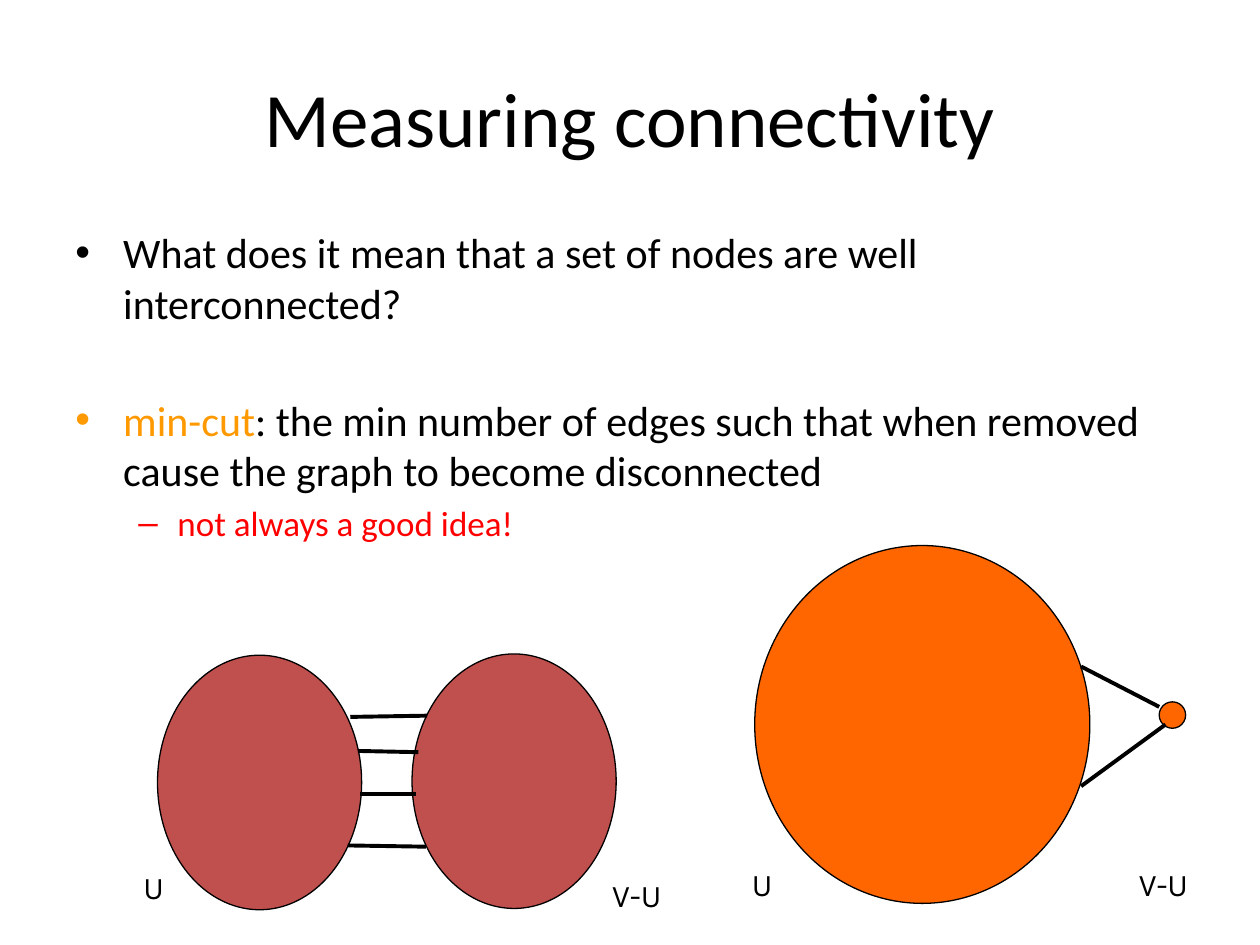
from lxml.etree import SubElement
from pptx import Presentation
from pptx.dml.color import RGBColor
from pptx.enum.shapes import MSO_CONNECTOR, MSO_SHAPE
from pptx.enum.text import MSO_ANCHOR, PP_ALIGN
from pptx.oxml.ns import qn
from pptx.util import Inches, Pt

BLACK = RGBColor(0x00, 0x00, 0x00)
AMBER = RGBColor(0xFF, 0x99, 0x00)
RED = RGBColor(0xFF, 0x00, 0x00)
BRICK = RGBColor(0xC0, 0x50, 0x4D)
ORANGE = RGBColor(0xFF, 0x66, 0x00)

WIDTH, HEIGHT = 10, 7.5
MARGIN = 0.05 * WIDTH


def add_box(page, left, top, width, height, wrap=True, anchor=MSO_ANCHOR.TOP):
    """Add an empty text box and return its text frame."""
    box = page.shapes.add_textbox(
        Inches(left), Inches(top), Inches(width), Inches(height))
    frame = box.text_frame
    frame.word_wrap = wrap
    frame.vertical_anchor = anchor
    return frame


def add_text(para, text, size=24, font="Calibri", color=BLACK):
    """Append one formatted span to a paragraph."""
    span = para.add_run()
    span.text = text
    span.font.size = Pt(size)
    span.font.name = font
    span.font.color.rgb = color


def set_bullet(para, mark, indent, hanging, before=0, level=0):
    """Give a paragraph a hanging bullet and the space above it."""
    para.level = level
    para.space_before = Pt(before)
    properties = para._p.get_or_add_pPr()
    properties.set("marL", str(Inches(indent)))
    properties.set("indent", str(-Inches(hanging)))
    SubElement(properties, qn("a:buFont"), typeface="Arial")
    SubElement(properties, qn("a:buChar"), char=mark)


def add_node_set(page, left, top, width, height, color):
    """Draw a set of nodes as an outlined ellipse."""
    oval = page.shapes.add_shape(
        MSO_SHAPE.OVAL, Inches(left), Inches(top), Inches(width), Inches(height))
    oval.shadow.inherit = False
    oval.fill.solid()
    oval.fill.fore_color.rgb = color
    oval.line.color.rgb = BLACK
    oval.line.width = Pt(0.75)


def add_edge(page, start_x, start_y, end_x, end_y):
    """Draw an edge that crosses the cut."""
    edge = page.shapes.add_connector(
        MSO_CONNECTOR.STRAIGHT,
        Inches(start_x), Inches(start_y), Inches(end_x), Inches(end_y))
    edge.line.color.rgb = BLACK
    edge.line.width = Pt(2.25)
    SubElement(edge._element.spPr, qn("a:effectLst"))


def add_label(page, text, left, top, width):
    frame = add_box(page, left, top, width, 0.4, wrap=False)
    add_text(frame.paragraphs[0], text, size=18, font="Karla")


def add_title(page):
    frame = add_box(page, MARGIN, 0.04 * HEIGHT, WIDTH - 2 * MARGIN, HEIGHT / 6,
                    anchor=MSO_ANCHOR.MIDDLE)
    para = frame.paragraphs[0]
    para.alignment = PP_ALIGN.CENTER
    add_text(para, "Measuring connectivity", size=44)


def add_body(page):
    frame = add_box(page, MARGIN, 1.75, WIDTH - 2 * MARGIN, 0.66 * HEIGHT)

    question = frame.paragraphs[0]
    set_bullet(question, "•", 0.38, 0.38)
    add_text(question,
             "What does it mean that a set of nodes are well interconnected?")

    definition = frame.add_paragraph()
    set_bullet(definition, "•", 0.38, 0.38, before=38)
    add_text(definition, "min-cut", color=AMBER)
    add_text(definition, ": the min number of edges such that when removed "
                         "cause the graph to become disconnected")

    remark = frame.add_paragraph()
    set_bullet(remark, "–", 0.81, 0.31, before=4, level=1)
    add_text(remark, "not always a good idea!", size=20, color=RED)


def add_balanced_cut(page):
    for left, top in ((1.25, 5.2), (3.27, 5.19)):
        add_node_set(page, left, top, 1.62, 2.02, BRICK)
    for edge in ((2.78, 5.69, 3.39, 5.68), (2.84, 5.96, 3.32, 5.97),
                 (2.86, 6.3, 3.3, 6.3), (2.76, 6.71, 3.38, 6.72)):
        add_edge(page, *edge)
    add_label(page, "U", 1.04, 6.84, 0.36)
    add_label(page, "V-U", 4.76, 6.9, 0.6)


def add_unbalanced_cut(page):
    add_node_set(page, 5.99, 4.33, 2.66, 2.84, ORANGE)
    add_node_set(page, 9.2, 5.57, 0.21, 0.21, ORANGE)
    for edge in ((8.58, 5.29, 9.2, 5.61), (8.58, 6.24, 9.25, 5.75)):
        add_edge(page, *edge)
    add_label(page, "U", 5.87, 6.82, 0.36)
    add_label(page, "V-U", 8.94, 6.82, 0.6)


def main():
    deck = Presentation()
    deck.slide_width, deck.slide_height = Inches(WIDTH), Inches(HEIGHT)
    page = deck.slides.add_slide(deck.slide_layouts[6])

    # Heading and bullets
    add_title(page)
    add_body(page)

    # Two example cuts
    add_balanced_cut(page)
    add_unbalanced_cut(page)

    deck.save("out.pptx")


if __name__ == "__main__":
    main()
